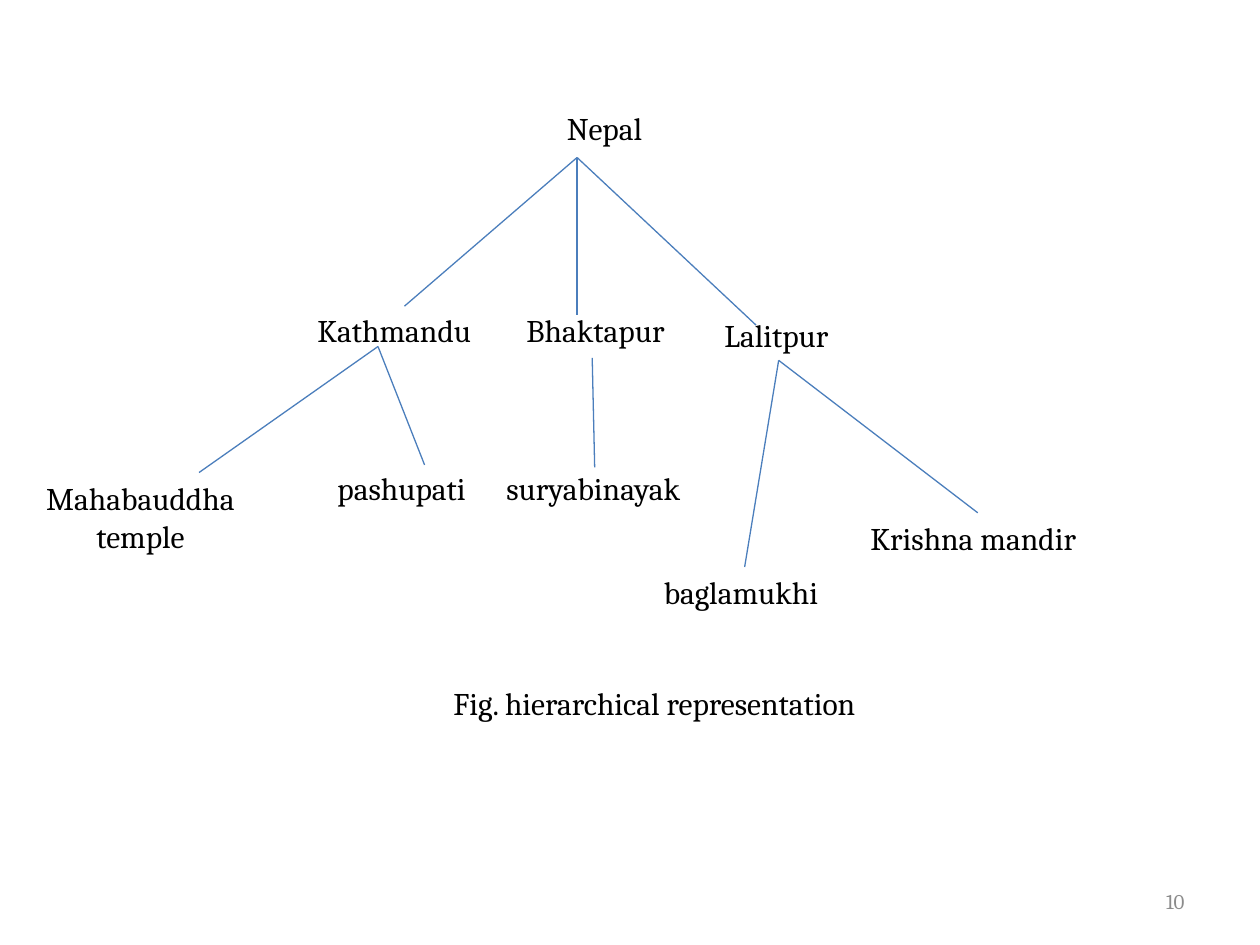
from lxml import etree
from pptx import Presentation
from pptx.dml.color import RGBColor
from pptx.enum.shapes import MSO_CONNECTOR
from pptx.enum.text import MSO_ANCHOR, PP_ALIGN
from pptx.oxml.ns import qn
from pptx.util import Pt

PX = 9144
STRAIGHT = MSO_CONNECTOR.STRAIGHT
LEFT, CENTER, RIGHT = PP_ALIGN.LEFT, PP_ALIGN.CENTER, PP_ALIGN.RIGHT
TOP, MIDDLE = MSO_ANCHOR.TOP, MSO_ANCHOR.MIDDLE
BLACK = RGBColor(0x00, 0x00, 0x00)
GRAY = RGBColor(0x8C, 0x8C, 0x8C)
BLUE = RGBColor(0x4B, 0x7E, 0xBC)
FONT = "Cambria"

presentation = Presentation()
presentation.slide_width = 1000 * PX
presentation.slide_height = 750 * PX
slide = presentation.slides.add_slide(presentation.slide_layouts[6])


def add_label(lines, left, top, width, height=40, size=18, color=BLACK,
              alignment=LEFT, anchor=TOP, wrap=False):
    shape = slide.shapes.add_textbox(left * PX, top * PX, width * PX, height * PX)
    frame = shape.text_frame
    frame.word_wrap = wrap
    frame.vertical_anchor = anchor
    for index, line in enumerate(lines):
        paragraph = frame.add_paragraph() if index else frame.paragraphs[0]
        paragraph.alignment = alignment
        run = paragraph.add_run()
        run.text = line
        run.font.name = FONT
        run.font.size = Pt(size)
        run.font.color.rgb = color


nepal = (458, 125)
kathmandu = (300, 275)
bhaktapur = (470, 284)
lalitpur = (618, 286)
branches = [
    (nepal, [(321, 243), (458, 250), (600, 258)]),
    (kathmandu, [(158, 375), (337, 369)]),
    (bhaktapur, [(472, 371)]),
    (lalitpur, [(591, 450), (776, 407)]),
]
for (parent_x, parent_y), children in branches:
    for child_x, child_y in children:
        connector = slide.shapes.add_connector(
            STRAIGHT, parent_x * PX, parent_y * PX, child_x * PX, child_y * PX)
        connector.line.color.rgb = BLUE
        connector.line.width = Pt(0.75)
        etree.SubElement(connector._element.spPr, qn("a:effectLst"))

labels = [
    ("Nepal", 440, 82, 83),
    ("Kathmandu", 242, 242, 146),
    ("Bhaktapur", 408, 242, 135),
    ("Lalitpur", 565, 246, 107),
    ("pashupati", 258, 367, 130),
    ("suryabinayak", 392, 367, 169),
    ("baglamukhi", 517, 450, 149),
    ("Krishna mandir", 681, 407, 190),
    ("Fig. hierarchical representation", 350, 538, 366),
]
for text, left, top, width in labels:
    add_label([text], left, top, width)

add_label(["Mahabauddha", "temple"], 25, 375, 173, height=71, alignment=CENTER)
add_label(["10"], 717, 695, 233, size=12, color=GRAY,
          alignment=RIGHT, anchor=MIDDLE, wrap=True)

presentation.save("out.pptx")
